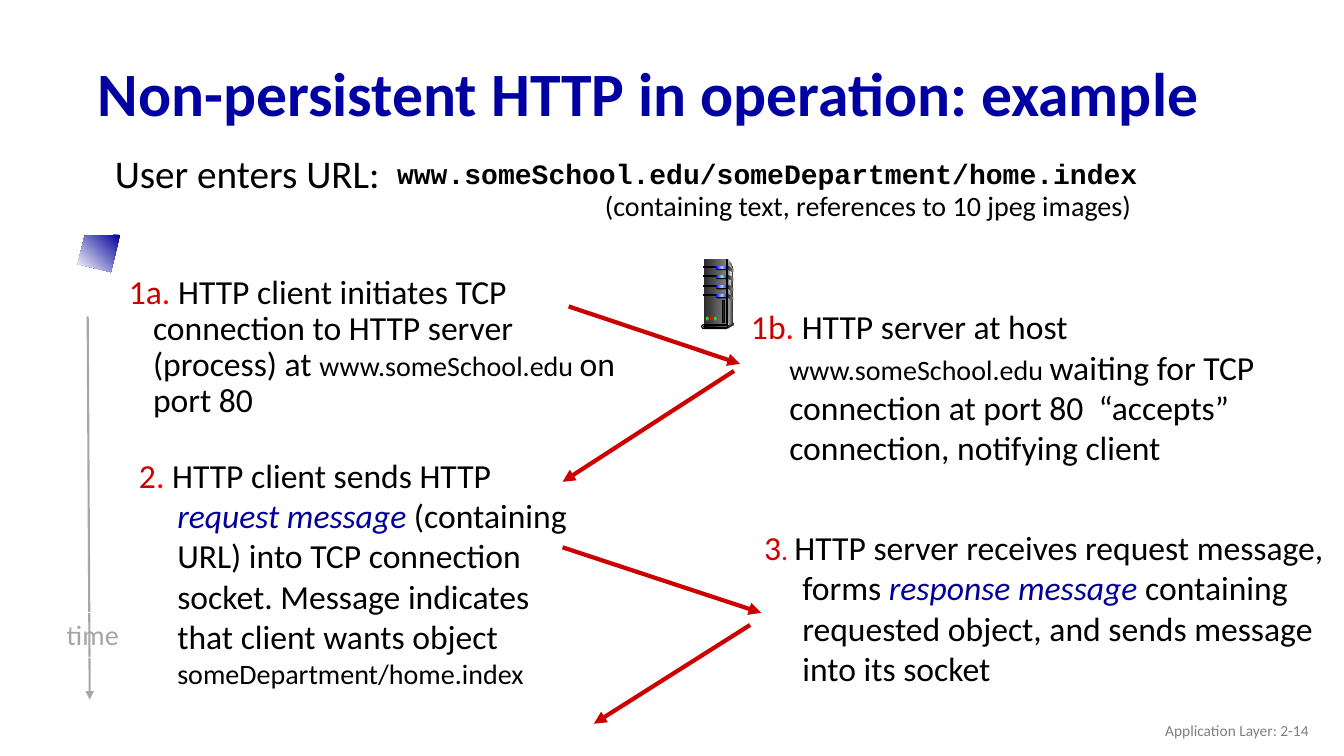
from typing import NamedTuple

from lxml import etree
from pptx import Presentation
from pptx.dml.color import RGBColor
from pptx.enum.shapes import MSO_CONNECTOR, MSO_SHAPE
from pptx.enum.text import MSO_ANCHOR, PP_ALIGN
from pptx.oxml.ns import qn
from pptx.util import Pt

PX = 9144  # EMU in one px, 100 px to the inch
RECT, ROUND, OVAL = MSO_SHAPE.RECTANGLE, MSO_SHAPE.ROUNDED_RECTANGLE, MSO_SHAPE.OVAL
STRAIGHT = MSO_CONNECTOR.STRAIGHT
TOP, MIDDLE = MSO_ANCHOR.TOP, MSO_ANCHOR.MIDDLE
LEFT, CENTER, RIGHT = PP_ALIGN.LEFT, PP_ALIGN.CENTER, PP_ALIGN.RIGHT


class Theme:
    font, code_font = "Calibri", "Courier New"
    title, lead, body, small, footer = 44, 28, 24, 20, 11
    title_blue, term_blue, light_blue = "0000A3", "000099", "99CCFF"
    number_red, dot_red = "CC0000", "FF0000"
    black, white, gray, footer_gray = "000000", "FFFFFF", "A6A6A6", "808080"
    bright_blue, green = "0000FF", "33CC33"
    dark, steel, charcoal, pale, sheen = "292929", "808080", "333333", "DDDDDD", "F8F8F8"


class Box(NamedTuple):
    left: int
    top: int
    width: int
    height: int

    def inner(self, x, y, width, height):
        """Box whose corner lies x, y from this one's corner."""
        return Box(self.left + x, self.top + y, width, height)

    def emu(self):
        return [value * PX for value in self]


class Span(NamedTuple):
    text: str
    size: int = Theme.body
    color: str = Theme.black
    bold: bool = False
    italic: bool = False
    font: str = Theme.font


def write(shape, *spans, align=LEFT, anchor=TOP, spacing=1.0, margin=0, hanging=0, wrap=True):
    frame = shape.text_frame
    frame.word_wrap = wrap
    frame.vertical_anchor = anchor
    para = frame.paragraphs[0]
    para.alignment = align
    para.line_spacing = spacing
    properties = para._p.get_or_add_pPr()
    properties.set("marL", str(margin * PX))
    properties.set("indent", str(-hanging * PX))
    for span in spans:
        run = para.add_run()
        run.text = span.text
        run.font.name = span.font
        run.font.size = Pt(span.size)
        run.font.bold = span.bold
        run.font.italic = span.italic
        run.font.color.rgb = RGBColor.from_string(span.color)


def add_text(page, box, *spans, **layout):
    write(page.shapes.add_textbox(*box.emu()), *spans, **layout)


def paint(shape, *colors, line=None, angle=0):
    """No colour leaves the shape empty, one fills it, more make a gradient."""
    shape.shadow.inherit = False
    fill = shape.fill
    if not colors:
        fill.background()
    elif len(colors) == 1:
        fill.solid()
        fill.fore_color.rgb = RGBColor.from_string(colors[0])
    else:
        fill.gradient()
        fill.gradient_angle = -angle % 360
        stops = shape.element.spPr.find(qn("a:gradFill")).find(qn("a:gsLst"))
        for stop in list(stops):
            stops.remove(stop)
        for index, color in enumerate(colors):
            position = 100000 * index // (len(colors) - 1)
            stop = etree.SubElement(stops, qn("a:gs"), pos=str(position))
            etree.SubElement(stop, qn("a:srgbClr"), val=color)
    if line:
        shape.line.color.rgb = RGBColor.from_string(line)
        shape.line.width = Pt(0.75)
    else:
        shape.line.fill.background()


def add_preset(shapes, kind, box, *colors, line=None):
    shape = shapes.add_shape(kind, *box.emu())
    if kind == ROUND:
        shape.adjustments[0] = 0.5
    paint(shape, *colors, line=line)
    return shape


def add_outline(shapes, box, points, *colors, angle=0):
    """Closed polygon with points measured from the corner of the box."""
    corners = [(box.left + x, box.top + y) for x, y in points]
    builder = shapes.build_freeform(*corners[0], scale=PX)
    builder.add_line_segments(corners[1:], close=True)
    paint(builder.convert_to_shape(), *colors, angle=angle)


def add_arrow(page, start, end, color, width):
    ends = [value * PX for value in (*start, *end)]
    arrow = page.shapes.add_connector(STRAIGHT, *ends)
    arrow.line.color.rgb = RGBColor.from_string(color)
    arrow.line.width = Pt(width)
    properties = arrow.element.spPr
    etree.SubElement(properties.find(qn("a:ln")), qn("a:tailEnd"), type="triangle")
    etree.SubElement(properties, qn("a:effectLst"))


def add_header(page, box):
    add_text(page, box.inner(0, 0, 1150, 98),
             Span("Non-persistent HTTP in operation: example", Theme.title,
                  Theme.title_blue, bold=True), anchor=MIDDLE, spacing=0.9)
    add_text(page, box.inner(2, 101, 869, 51), Span("User enters URL:", Theme.lead),
             spacing=0.9, margin=39, hanging=24)
    add_text(page, box.inner(425, 135, 698, 44),
             Span("(containing text, references to 10 jpeg images)", Theme.small), align=CENTER)
    add_text(page, box.inner(297, 108, 869, 51),
             Span("www.someSchool.edu/someDepartment/home.index", Theme.small,
                  bold=True, font=Theme.code_font), spacing=0.85, margin=38, hanging=38)


def add_timeline(page, box):
    x, bottom = box.left + 32, box.top + box.height
    add_arrow(page, (x, box.top), (x + 2, bottom), Theme.gray, 1.5)
    label = add_preset(page.shapes, RECT, box.inner(0, 294, 74, 44), line=Theme.white)
    write(label, Span("time", Theme.small, Theme.gray), align=CENTER, wrap=False)


def add_step(page, box, number, *spans, dot=Span(".", color=Theme.dot_red),
             spacing=1.0, margin=38, hanging=38):
    add_text(page, box, Span(number, color=Theme.number_red), dot, *spans,
             spacing=spacing, margin=margin, hanging=hanging)


def add_client_steps(page, box):
    add_step(page, box.inner(0, 0, 530, 208), "1a",
             Span(" HTTP client initiates TCP connection to HTTP server (process) at "),
             Span("www.someSchool.edu ", Theme.small), Span("on port 80"),
             spacing=0.9, margin=39, hanging=24)
    add_step(page, box.inner(25, 178, 461, 118), "2", Span(" HTTP client sends HTTP "),
             Span("request message", color=Theme.term_blue, italic=True),
             Span(" (containing URL) into TCP connection socket. "
                  "Message indicates that client wants object "),
             Span("someDepartment/home.index", Theme.small))


def add_server_steps(page, box):
    add_step(page, box.inner(0, 0, 589, 165), "1b", Span(" HTTP server at host "),
             Span("www.someSchool.edu ", Theme.small),
             Span("waiting for TCP connection at port 80  “accepts” connection, notifying client"))
    add_step(page, box.inner(13, 219, 590, 197), "3",
             Span("HTTP server receives request message, forms "),
             Span("response message", color=Theme.term_blue, italic=True),
             Span(" containing requested object, and sends message into its socket"),
             dot=Span(". ", Theme.small, Theme.dot_red))


def add_messages(page, box):
    for start, end in [((6, 0), (176, 57)), ((170, 64), (0, 174)),
                       ((0, 239), (197, 304)), ((186, 316), (31, 414))]:
        add_arrow(page, *((box.left + x, box.top + y) for x, y in (start, end)),
                  Theme.number_red, 3)


def add_client_icon(page, box):
    add_outline(page.shapes, box, [(42, 0), (7, 1), (0, 29), (33, 37)],
                Theme.term_blue, Theme.white, angle=135)


def add_server_icon(page, box):
    shapes = page.shapes.add_group_shape().shapes
    metal = Theme.dark, Theme.steel
    add_outline(shapes, box, [(26, 0), (31, 8), (31, 64), (25, 67)], Theme.pale, Theme.charcoal)
    add_preset(shapes, RECT, box.inner(2, 0, 23, 67), *metal)
    add_outline(shapes, box, [(26, 4), (30, 9), (27, 35), (26, 65)], Theme.steel, Theme.sheen)
    for y in (7, 16, 26, 35):
        add_preset(shapes, RECT, box.inner(2, y, 13, 1), Theme.black, line=Theme.black)
        add_preset(shapes, ROUND, box.inner(14, y, 13, 4), Theme.black)
        add_preset(shapes, ROUND, box.inner(14, y, 12, 3),
                   Theme.bright_blue, Theme.light_blue, Theme.bright_blue)
        add_outline(shapes, box, [(26, y), (31, y + 3), (31, y + 6), (26, y + 3)], *metal)
    add_preset(shapes, RECT, box.inner(25, 0, 1, 67),
               Theme.charcoal, Theme.pale, Theme.charcoal, line=Theme.black)
    add_preset(shapes, OVAL, box.inner(31, 63, 1, 3), Theme.charcoal)
    add_outline(shapes, box, [(26, 66), (26, 69), (31, 66), (31, 64)], Theme.charcoal)
    add_preset(shapes, ROUND, box.inner(0, 65, 26, 4), Theme.pale, line=Theme.black)
    add_preset(shapes, ROUND, box.inner(2, 66, 24, 2), Theme.black, Theme.steel, line=Theme.black)
    for index, color in enumerate((Theme.green, Theme.dot_red, Theme.green)):
        add_preset(shapes, OVAL, box.inner(4 + 4 * index, 57, 3, 4), color)
    add_preset(shapes, RECT, box.inner(21, 41, 2, 22), Theme.dark, line=Theme.black)


def main():
    deck = Presentation()
    deck.slide_width, deck.slide_height = 1333 * PX, 750 * PX
    page = deck.slides.add_slide(deck.slide_layouts[6])
    add_header(page, Box(87, 47, 1166, 179))
    add_timeline(page, Box(55, 314, 74, 380))
    add_client_steps(page, Box(103, 268, 530, 440))
    add_server_steps(page, Box(735, 299, 603, 416))
    add_messages(page, Box(558, 304, 197, 414))
    add_client_icon(page, Box(77, 233, 42, 37))
    add_server_icon(page, Box(696, 257, 32, 70))
    add_text(page, Box(1008, 705, 300, 40),
             Span("Application Layer: 2-14", Theme.footer, Theme.footer_gray),
             align=RIGHT, anchor=MIDDLE)
    deck.save("out.pptx")


if __name__ == "__main__":
    main()
